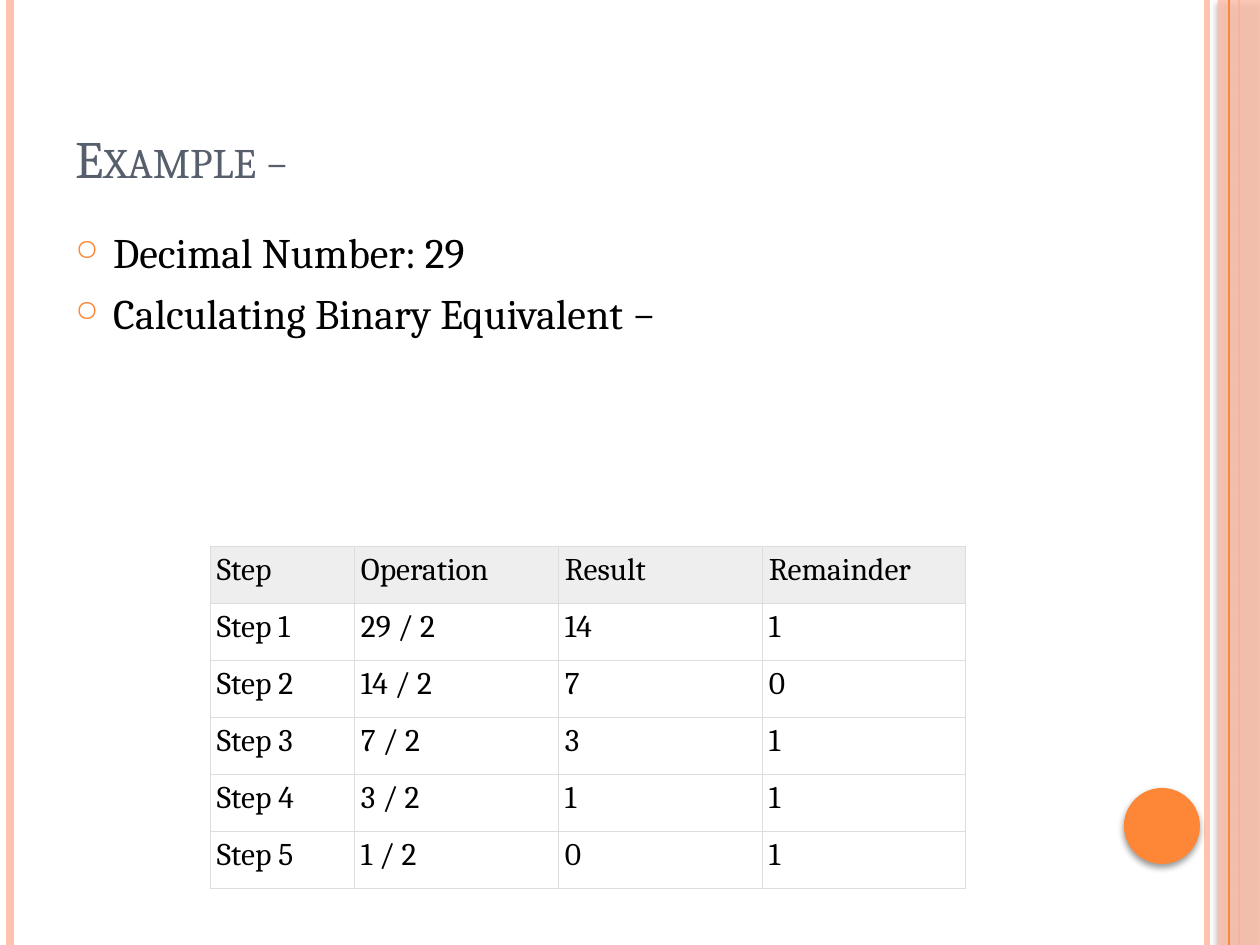
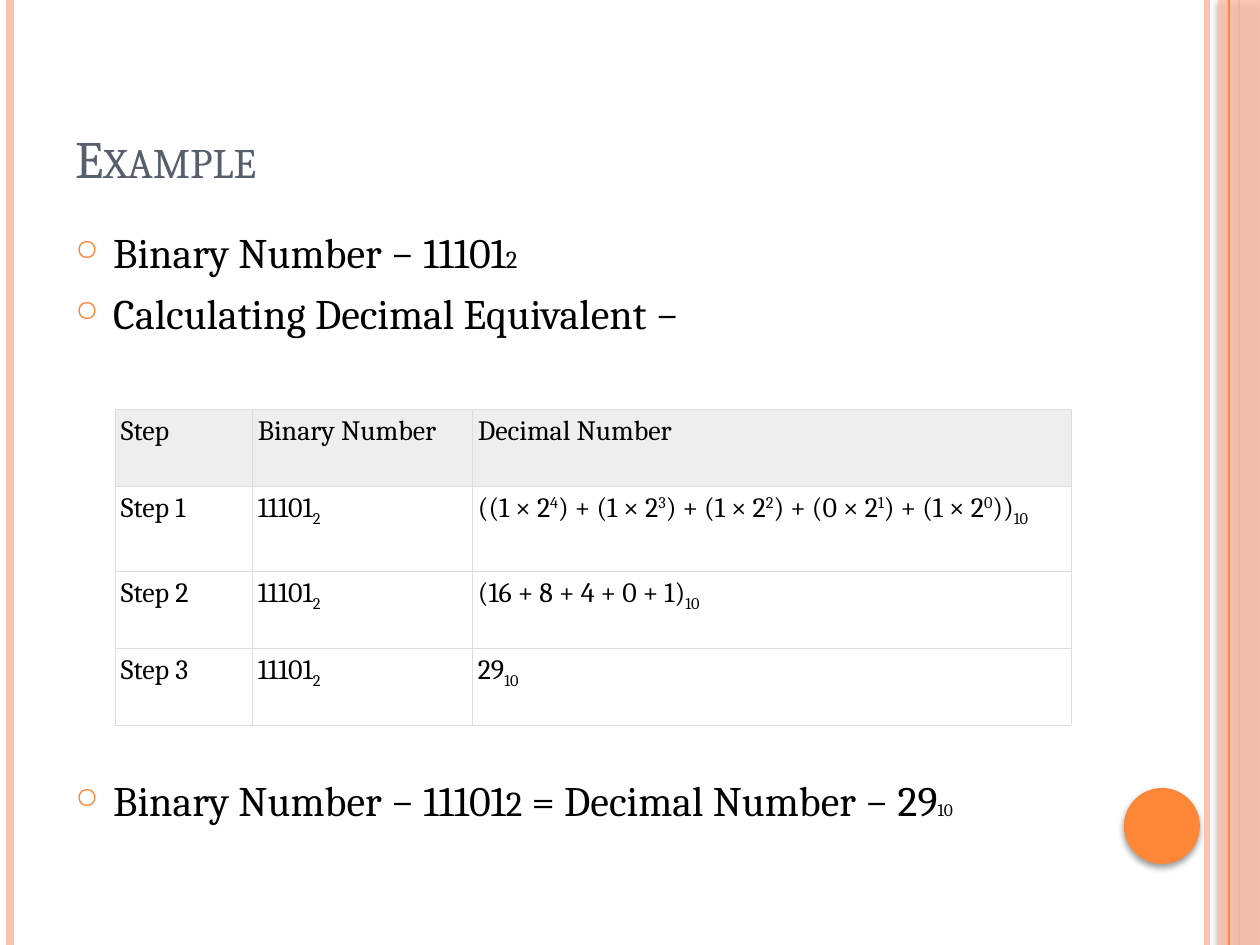
from lxml import etree
from pptx import Presentation
from pptx import util as u
from pptx.dml.color import RGBColor
from pptx.enum import shapes, text
from pptx.oxml.ns import qn

PX = u.Inches(1) / 126
WIDTH, HEIGHT = 1260, 945
FONT = "Cambria"
WHITE = RGBColor(0xFF, 0xFF, 0xFF)
BLACK = RGBColor(0x00, 0x00, 0x00)
SLATE = RGBColor(0x57, 0x5F, 0x6D)
ORANGE = RGBColor(0xFE, 0x86, 0x37)
PEACH = RGBColor(0xFE, 0xC2, 0xAE)
HEADER_GRAY = RGBColor(0xEE, 0xEE, 0xEE)
BORDER_GRAY = RGBColor(0xDD, 0xDD, 0xDD)
BASELINES = {"^": "30000", "_": "-25000"}

TITLE_BOX = (63, 38, 1029, 157)
BODY_BOX = (63, 220, 1029, 160)
CONCLUSION_BOX = (63, 768, 1029, 100)


def px(*lengths):
    return [u.Emu(round(length * PX)) for length in lengths]


def set_all(target, values):
    for name, value in values.items():
        setattr(target, name, value)


def add_element(parent, tag, **attributes):
    return etree.SubElement(parent, qn(tag), attributes)


def add_color(parent, color, alpha=None):
    fill = add_element(parent, "a:srgbClr", val=str(color))
    if alpha:
        add_element(fill, "a:alpha", val=str(alpha * 1000))


def add_run(paragraph, words, size, color=BLACK):
    run = paragraph.add_run()
    run.text = words
    set_all(run.font, {"name": FONT, "size": u.Pt(size), "bold": False})
    run.font.color.rgb = color
    return run


def add_text_frame(slide, box, anchor):
    frame = slide.shapes.add_textbox(*px(*box)).text_frame
    set_all(frame, {"word_wrap": True, "vertical_anchor": anchor})
    return frame


def add_vertical_line(slide, x, color, points):
    line = slide.shapes.add_connector(
        shapes.MSO_CONNECTOR.STRAIGHT, *px(x, 0, x, HEIGHT))
    line.line.color.rgb = color
    line.line.width = u.Pt(points)
    add_element(line._element.spPr, "a:effectLst")


def add_shadowed_shape(slide, kind, box, color, alpha=None):
    shape = slide.shapes.add_shape(kind, *px(*box))
    shape.shadow.inherit = False
    shape.fill.solid()
    shape.fill.fore_color.rgb = color
    shape.line.fill.background()
    properties = shape._element.spPr
    if alpha:
        fill = properties.find(qn("a:solidFill"))
        fill.clear()
        add_color(fill, color, alpha)
    shadow = add_element(
        properties.find(qn("a:effectLst")), "a:outerShdw",
        blurRad=str(u.Pt(4)), dist=str(u.Pt(2)), dir="5400000", rotWithShape="0")
    add_color(shadow, BLACK, 40)


def add_side_bands(slide):
    for x, color, points in ((1207, PEACH, 3), (10, PEACH, 4.5), (1239, ORANGE, 1.5)):
        add_vertical_line(slide, x, color, points)
    add_shadowed_shape(slide, shapes.MSO_SHAPE.RECTANGLE,
                       (1218, 0, WIDTH - 1218, HEIGHT), PEACH, 87)
    add_vertical_line(slide, 1229, ORANGE, 0.75)
    add_shadowed_shape(slide, shapes.MSO_SHAPE.OVAL, (1124, 788, 76, 76), ORANGE)


def add_title(slide, words):
    frame = add_text_frame(slide, TITLE_BOX, text.MSO_ANCHOR.BOTTOM)
    run = add_run(frame.paragraphs[0], words, 30, SLATE)
    run.font._element.set("cap", "small")


def add_bullets(slide, box, items):
    frame = add_text_frame(slide, box, text.MSO_ANCHOR.TOP)
    for index, runs in enumerate(items):
        paragraph = frame.add_paragraph() if index else frame.paragraphs[0]
        if index:
            paragraph.space_before = u.Pt(6)
        properties = paragraph._p.get_or_add_pPr()
        indent = u.Inches(0.3)
        properties.set("marL", str(indent))
        properties.set("indent", str(-indent))
        add_color(add_element(properties, "a:buClr"), ORANGE)
        add_element(properties, "a:buSzPct", val="70000")
        add_element(properties, "a:buChar", char="○")
        for words, size in runs:
            add_run(paragraph, words, size)


def add_cell_borders(cell):
    properties = cell._tc.get_or_add_tcPr()
    for index, tag in enumerate(("a:lnL", "a:lnR", "a:lnT", "a:lnB")):
        border = etree.Element(qn(tag), w=str(u.Pt(0.5)))
        add_color(add_element(border, "a:solidFill"), BORDER_GRAY)
        properties.insert(index, border)


def fill_cell(cell, content, size, side_margin, color):
    left, top = px(side_margin, 6)
    set_all(cell, {"margin_left": left, "margin_right": left,
                   "margin_top": top, "margin_bottom": top})
    cell.fill.solid()
    cell.fill.fore_color.rgb = color
    add_cell_borders(cell)
    for part in content.split("|"):
        run = add_run(cell.text_frame.paragraphs[0], part.lstrip("^_"), size)
        if part[0] in BASELINES:
            run.font._element.set("baseline", BASELINES[part[0]])


def add_steps_table(slide, corner, widths, heights, rows, size, side_margin):
    box = (*corner, sum(widths), sum(heights))
    table = slide.shapes.add_table(len(rows), len(widths), *px(*box)).table
    set_all(table, {"first_row": False, "horz_banding": False})
    for column, width in zip(table.columns, px(*widths)):
        column.width = width
    for row, height in zip(table.rows, px(*heights)):
        row.height = height
    for r, contents in enumerate(rows):
        for c, content in enumerate(contents):
            fill_cell(table.cell(r, c), content, size, side_margin,
                      WHITE if r else HEADER_GRAY)


def add_example_slide(presentation, title, bullets):
    slide = presentation.slides.add_slide(presentation.slide_layouts[6])
    add_side_bands(slide)
    add_title(slide, title)
    add_bullets(slide, BODY_BOX, bullets)
    return slide


def add_decimal_to_binary(presentation):
    slide = add_example_slide(presentation, "Example −", [
        [("Decimal Number: 29", 24)],
        [("Calculating Binary Equivalent −", 24)],
    ])
    rows = [
        ("Step", "Operation", "Result", "Remainder"),
        ("Step 1", "29 / 2", "14", "1"),
        ("Step 2", "14 / 2", "7", "0"),
        ("Step 3", "7 / 2", "3", "1"),
        ("Step 4", "3 / 2", "1", "1"),
        ("Step 5", "1 / 2", "0", "1"),
    ]
    add_steps_table(slide, (210, 546), [144] + [204] * 3, [57] * len(rows), rows, 18, 7)


def add_binary_to_decimal(presentation):
    slide = add_example_slide(presentation, "Example", [
        [("Binary Number − 11101", 24), ("2", 14)],
        [("Calculating Decimal Equivalent −", 24)],
    ])
    add_bullets(slide, CONCLUSION_BOX, [
        [("Binary Number − 11101", 24), ("2", 20),
         (" = Decimal Number − 29", 24), ("10", 10)],
    ])
    binary = "11101|_2"
    powers = ("((1 × 2|^4|) + (1 × 2|^3|) + (1 × 2|^2|) + "
              "(0 × 2|^1|) + (1 × 2|^0|))|_10")
    rows = [
        ("Step", "Binary Number", "Decimal Number"),
        ("Step 1", binary, powers),
        ("Step 2", binary, "(16 + 8 + 4 + 0 + 1)|_10"),
        ("Step 3", binary, "29|_10"),
    ]
    add_steps_table(slide, (115, 409), [137, 220, 599], [77, 85, 77, 77], rows, 16, 6)


def main():
    presentation = Presentation()
    presentation.slide_width, presentation.slide_height = px(WIDTH, HEIGHT)
    add_decimal_to_binary(presentation)
    add_binary_to_decimal(presentation)
    presentation.save("out.pptx")


if __name__ == "__main__":
    main()
